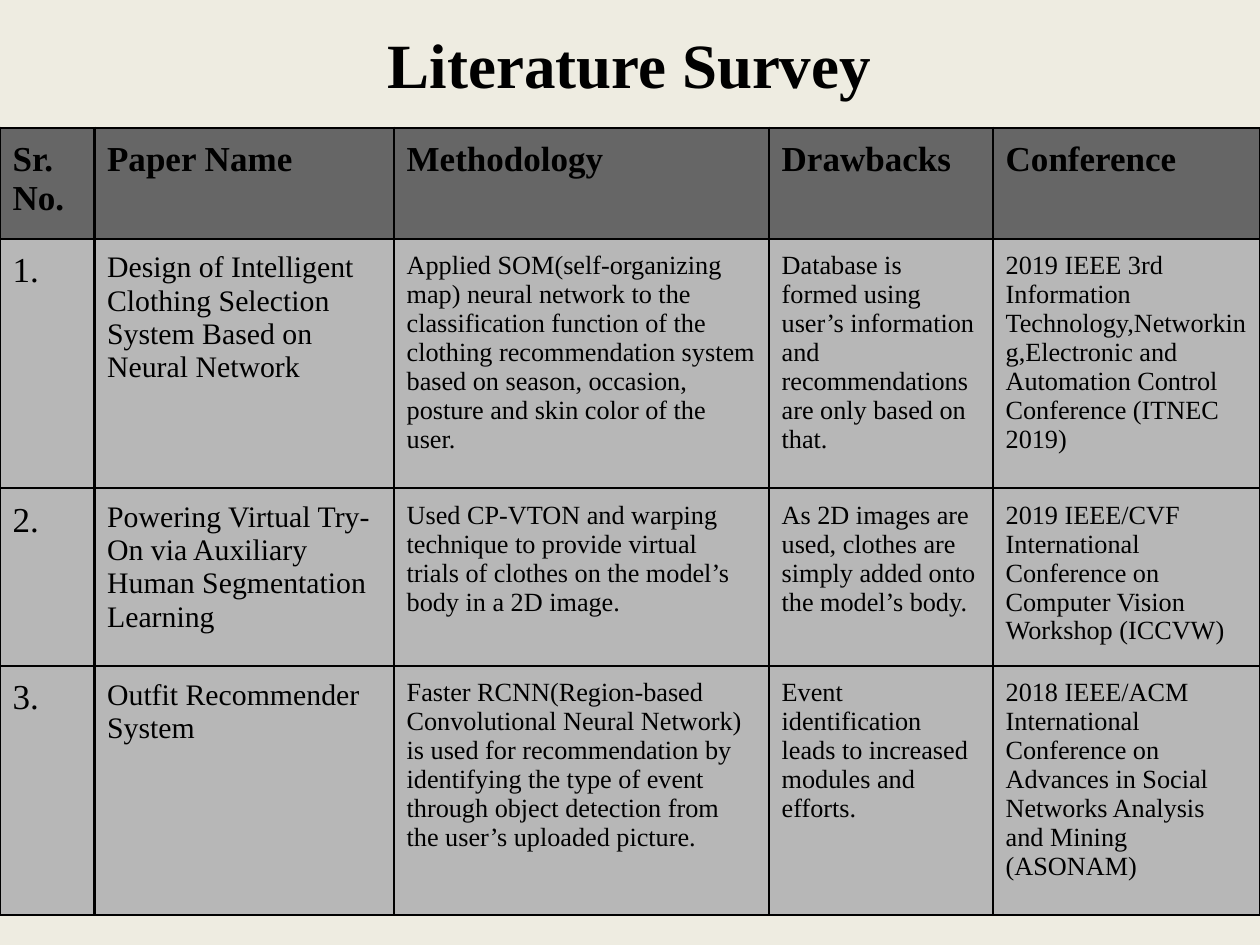
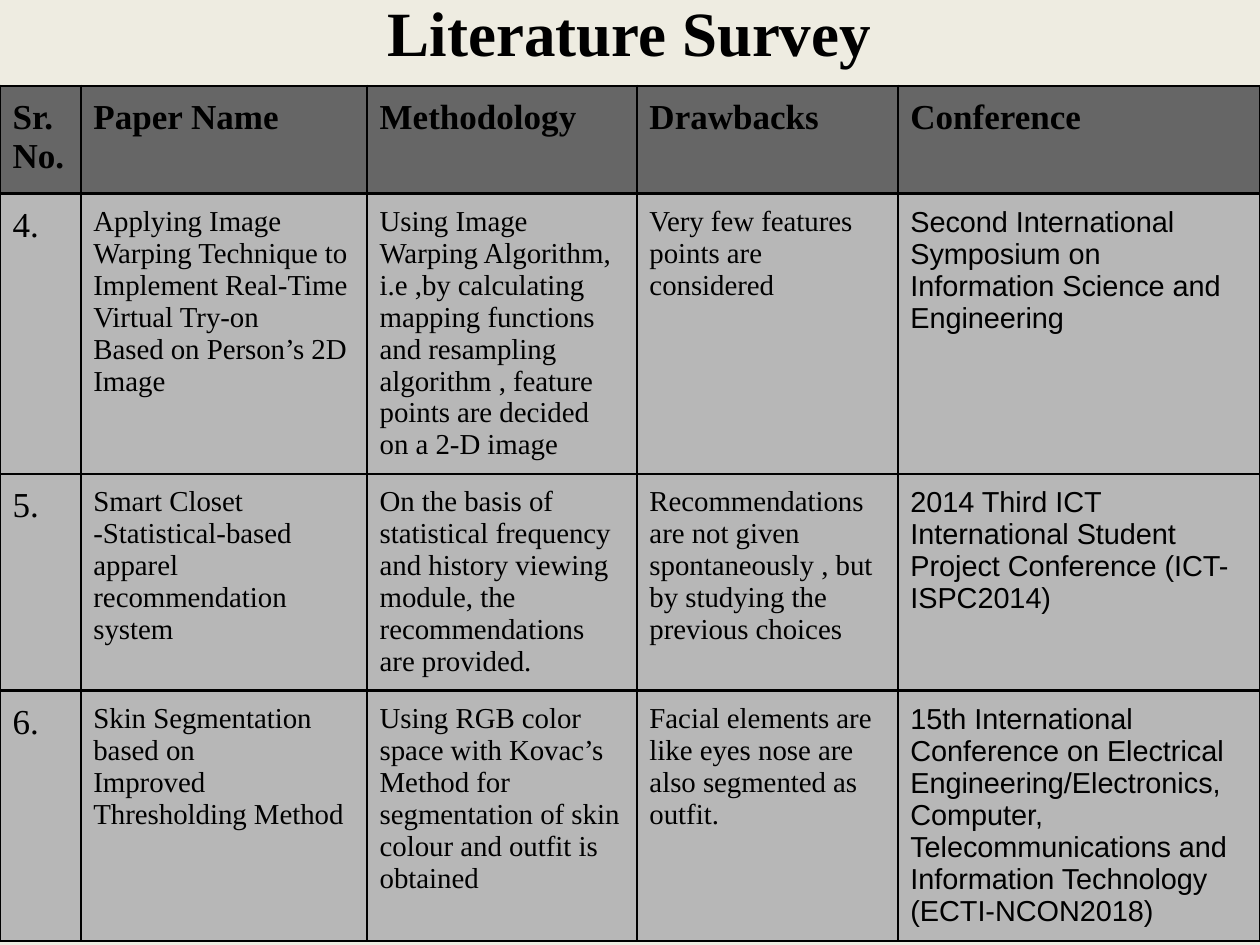
from lxml import etree
from pptx import Presentation
from pptx.dml.color import RGBColor
from pptx.enum.text import MSO_ANCHOR, MSO_AUTO_SIZE, PP_ALIGN
from pptx.oxml.ns import qn
from pptx.util import Pt

CREAM = RGBColor(0xEE, 0xEC, 0xE1)
HEADER_GREY = RGBColor(0x66, 0x66, 0x66)
BODY_GREY = RGBColor(0xB7, 0xB7, 0xB7)
BLACK = RGBColor(0, 0, 0)
SERIF, SANS = "Times New Roman", "Arial"
SLIDE_WIDTH, SLIDE_HEIGHT = 720, 540
TITLE_LEFT, TITLE_WIDTH, TITLE_HEIGHT = 36, 647.5, 89.5
CELL_MARGIN = 7.2
BORDER_WIDTH = 1.5

HEADINGS = ("Sr. No.", "Paper Name", "Methodology", "Drawbacks", "Conference")
HEADING_FONT = {"name": SERIF, "size": Pt(20), "bold": True}


def body_fonts(name_size, detail_size, conference_font):
    """Return the font formats of the five body columns."""
    formats = (
        (SERIF, 20), (SERIF, name_size), (SERIF, detail_size),
        (SERIF, detail_size), (conference_font, detail_size),
    )
    return [{"name": name, "size": Pt(size), "bold": False} for name, size in formats]


SURVEYS = (
    {
        "title_top": -8.7,
        "table_top": 73,
        "widths": (54, 171.2, 214.3, 128, 152.5),
        "heights": (63.4, 142.6, 101.5, 142.6),
        "fonts": body_fonts(17, 15, SERIF),
        "papers": (
            ("1.",
             "Design of Intelligent Clothing Selection System Based on Neural Network",
             "Applied SOM(self-organizing map) neural network to the classification "
             "function of the clothing recommendation system based on season, occasion, "
             "posture and skin color of the user.",
             "Database is formed using user’s information and recommendations are only "
             "based on that.",
             "2019 IEEE 3rd Information Technology,Networking,Electronic and Automation "
             "Control Conference (ITNEC 2019)"),
            ("2.",
             "Powering Virtual Try-On via Auxiliary Human Segmentation Learning",
             "Used CP-VTON and warping technique to provide virtual trials of clothes on "
             "the model’s body in a 2D image.",
             "As 2D images are used, clothes are simply added onto the model’s body.",
             "2019 IEEE/CVF International Conference on Computer Vision Workshop (ICCVW)"),
            ("3.",
             "Outfit Recommender System",
             "Faster RCNN(Region-based\nConvolutional Neural Network) is used for "
             "recommendation by identifying the type of event through object detection "
             "from the user’s uploaded picture.",
             "Event identification leads to increased modules and efforts.",
             "2018 IEEE/ACM International Conference on Advances in Social Networks "
             "Analysis and Mining (ASONAM)"),
        ),
    },
    {
        "title_top": -26.7,
        "table_top": 49,
        "widths": (46.2, 163.6, 154.2, 149.1, 206.9),
        "heights": (61.5, 160, 123.6, 142.8),
        "fonts": body_fonts(16.5, 16.5, SANS),
        "papers": (
            ("4.",
             "Applying Image Warping Technique to\nImplement Real-Time Virtual Try-on\n"
             "Based on Person’s 2D Image",
             "Using Image Warping Algorithm, i.e ,by calculating mapping functions and "
             "resampling algorithm , feature points are decided on a 2-D image",
             "Very few features points are considered",
             "Second International Symposium on Information Science and Engineering"),
            ("5.",
             "Smart Closet\n-Statistical-based apparel recommendation system",
             "On the basis of statistical frequency and history viewing module, the "
             "recommendations are provided.",
             "Recommendations are not given spontaneously , but by studying the previous "
             "choices",
             "2014 Third ICT International Student Project Conference (ICT-ISPC2014)"),
            ("6.",
             "Skin Segmentation based on\nImproved Thresholding Method",
             "Using RGB color space with Kovac’s Method for segmentation of skin colour "
             "and outfit is obtained",
             "Facial elements are like eyes nose are also segmented as outfit.",
             "15th International Conference on Electrical Engineering/Electronics, "
             "Computer, Telecommunications and Information Technology (ECTI-NCON2018)"),
        ),
    },
)


def set_all(target, values):
    for name, value in values.items():
        setattr(target, name, value)


def format_text(frame, font_format):
    for para in frame.paragraphs:
        for span in para.runs:
            set_all(span.font, font_format)
            span.font.color.rgb = BLACK


def add_borders(cell):
    cell_format = cell._tc.get_or_add_tcPr()
    for side in ("lnL", "lnR", "lnT", "lnB"):
        line = etree.SubElement(cell_format, qn(f"a:{side}"), w=str(Pt(BORDER_WIDTH)))
        fill = etree.SubElement(line, qn("a:solidFill"))
        etree.SubElement(fill, qn("a:srgbClr"), val=str(BLACK))


def fill_cell(cell, text, font_format, colour):
    cell.text = text
    for side in ("left", "right", "top", "bottom"):
        setattr(cell, f"margin_{side}", Pt(CELL_MARGIN))
    format_text(cell.text_frame, font_format)
    add_borders(cell)
    cell.fill.solid()
    cell.fill.fore_color.rgb = colour


def place_title(page, top):
    title = page.shapes.title
    set_all(title, {
        "left": Pt(TITLE_LEFT), "top": Pt(top),
        "width": Pt(TITLE_WIDTH), "height": Pt(TITLE_HEIGHT),
    })
    frame = title.text_frame
    frame.text = "Literature Survey"
    set_all(frame, {"vertical_anchor": MSO_ANCHOR.MIDDLE, "auto_size": MSO_AUTO_SIZE.NONE})
    frame.paragraphs[0].alignment = PP_ALIGN.CENTER
    format_text(frame, {"name": SERIF, "size": Pt(36), "bold": True})


def add_survey_table(page, top, widths, heights, fonts, papers):
    rows = (HEADINGS, *papers)
    table = page.shapes.add_table(
        len(rows), len(HEADINGS), 0, Pt(top), Pt(sum(widths)), Pt(sum(heights))
    ).table
    for column, width in zip(table.columns, widths):
        column.width = Pt(width)
    for row, height, texts in zip(table.rows, heights, rows):
        row.height = Pt(height)
        is_header = texts is HEADINGS
        colour = HEADER_GREY if is_header else BODY_GREY
        for cell, text, font_format in zip(row.cells, texts, fonts):
            fill_cell(cell, text, HEADING_FONT if is_header else font_format, colour)


def add_survey_page(deck, title_top, table_top, **table_parts):
    page = deck.slides.add_slide(deck.slide_layouts.get_by_name("Title Only"))
    place_title(page, title_top)
    add_survey_table(page, table_top, **table_parts)


def main():
    deck = Presentation()
    set_all(deck, {"slide_width": Pt(SLIDE_WIDTH), "slide_height": Pt(SLIDE_HEIGHT)})
    background = deck.slide_master.background.fill
    background.solid()
    background.fore_color.rgb = CREAM
    for survey in SURVEYS:
        add_survey_page(deck, **survey)
    deck.save("out.pptx")


if __name__ == "__main__":
    main()
